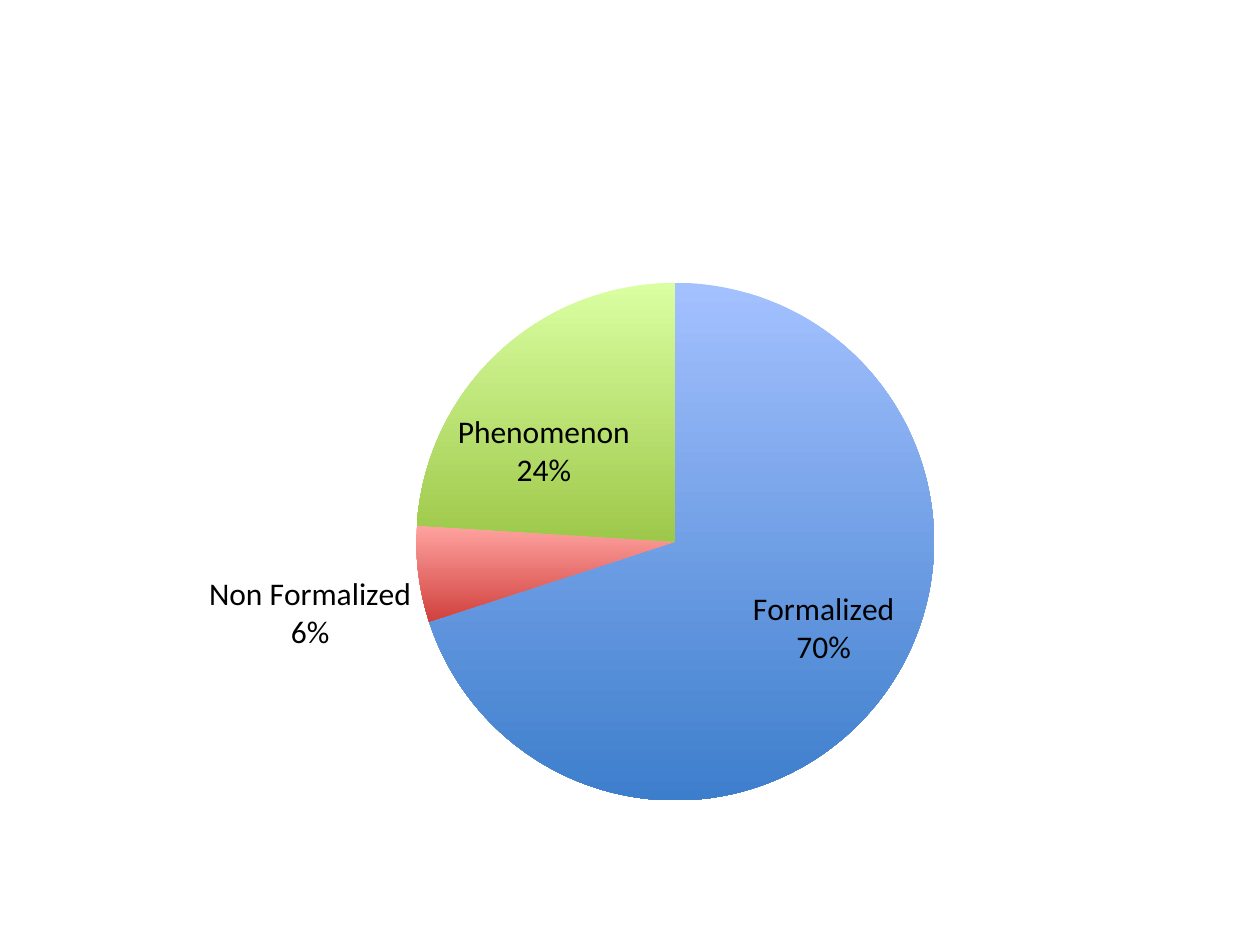
from lxml import etree
from pptx import Presentation
from pptx.chart.data import CategoryChartData
from pptx.dml.color import RGBColor
from pptx.enum.chart import XL_CHART_TYPE, XL_LABEL_POSITION
from pptx.oxml import parse_xml
from pptx.oxml.ns import nsdecls, qn
from pptx.util import Inches, Pt

# Content: category, percentage, top colour, bottom colour
COLORS = {
    "text": "000000",
    "light blue": "A4C1FF", "blue": "3D7ECC",
    "light red": "FFA3A0", "red": "D0413D",
    "light green": "DAFFA2", "green": "9EC84A",
}
SLICES = [
    ("Formalized", 70, "light blue", "blue"),
    ("Non Formalized", 6, "light red", "red"),
    ("Phenomenon", 24, "light green", "green"),
]
PLOT_AREA = {"x": 0.31, "y": 0.1, "w": 0.46, "h": 0.83}


def format_font(font, size=18, color="text", name="Calibri"):
    font.size = Pt(size)
    font.name = name
    font.color.rgb = RGBColor.from_string(COLORS[color])


presentation = Presentation()
presentation.slide_width = Inches(10)
presentation.slide_height = Inches(7.5)
slide = presentation.slides.add_slide(presentation.slide_layouts[6])

# Pie chart
data = CategoryChartData()
data.categories = [entry[0] for entry in SLICES]
data.add_series("Series 1", [entry[1] for entry in SLICES])
chart = slide.shapes.add_chart(
    XL_CHART_TYPE.PIE, Inches(0.5), Inches(1.75), Inches(9), Inches(4.95), data
).chart
chart.has_title = False
chart.has_legend = False
format_font(chart.font)
plot = chart.plots[0]
plot.vary_by_categories = True
series = plot.series[0]

# Labels: category with the percentage on a second line
labels = series.data_labels
format_font(labels.font)
labels.position = XL_LABEL_POSITION.BEST_FIT
labels.show_value = False
labels.show_category_name = True
labels.show_percentage = True
separator = etree.Element(qn("c:separator"))
separator.text = "\n"
labels._element.find(qn("c:showBubbleSize")).addnext(separator)

# Slice gradients
for index, (_, _, top, bottom) in enumerate(SLICES):
    slice_format = series.points[index].format
    slice_format.line.fill.background()
    fill = slice_format.fill
    fill.gradient()
    fill.gradient_angle = 270
    for stop, color, place in zip(fill.gradient_stops, (top, bottom), (0, 1)):
        stop.color.rgb = RGBColor.from_string(COLORS[color])
        stop.position = place

# Fixed place of the pie inside the chart
plot_area = plot._element.getparent()
for layout in plot_area.findall(qn("c:layout")):
    plot_area.remove(layout)
sizes = "".join(f'<c:{key} val="{value}"/>' for key, value in PLOT_AREA.items())
plot_area.insert(0, parse_xml(
    f'<c:layout {nsdecls("c")}><c:manualLayout><c:layoutTarget val="inner"/>'
    f'<c:xMode val="edge"/><c:yMode val="edge"/>{sizes}'
    '</c:manualLayout></c:layout>'))

presentation.save("out.pptx")
